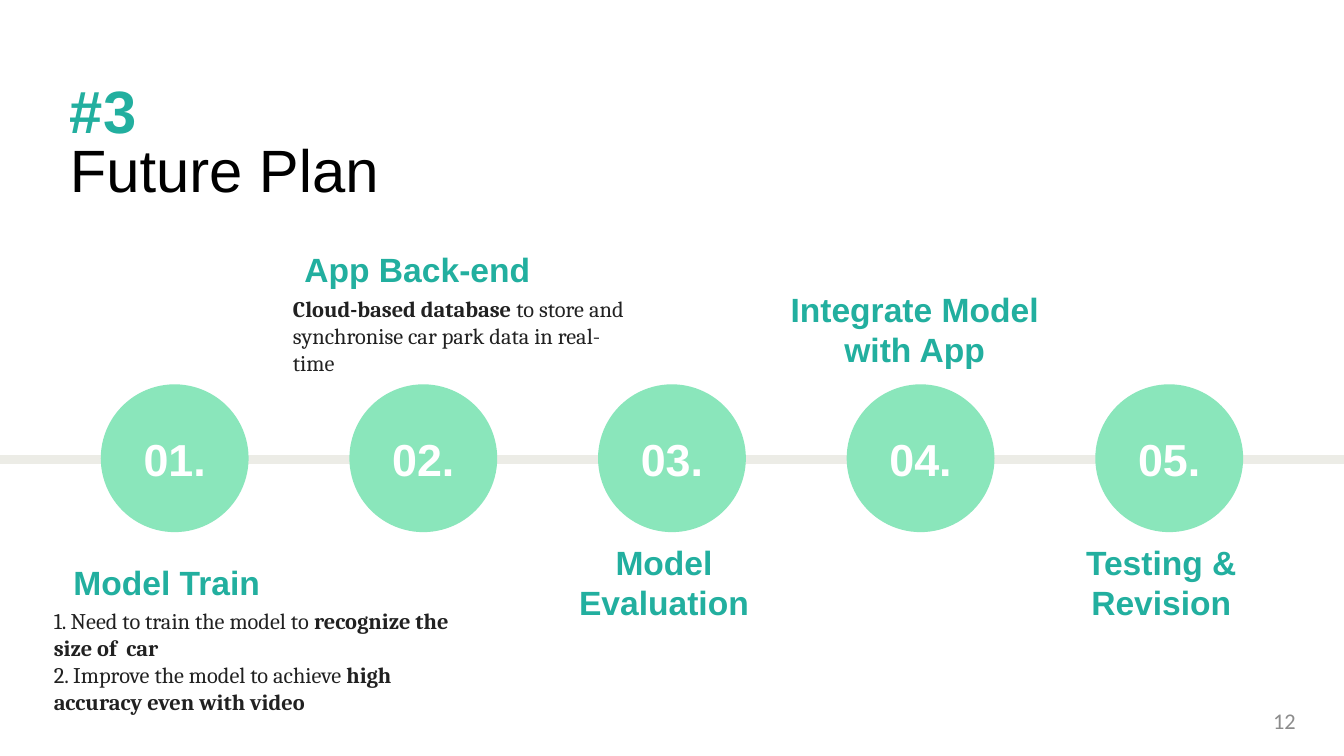
from dataclasses import dataclass

from lxml.etree import SubElement
from pptx import Presentation
from pptx.dml.color import RGBColor
from pptx.enum.shapes import MSO_CONNECTOR as Connector, MSO_SHAPE as Shape
from pptx.enum.text import MSO_ANCHOR as Anchor, MSO_AUTO_SIZE as AutoSize, PP_ALIGN as Align
from pptx.oxml.ns import qn
from pptx.util import Inches, Pt


@dataclass(frozen=True)
class Font:
    name: str
    size: int
    color: str


@dataclass(frozen=True)
class Theme:
    track: str = "ECECE6"
    circle: str = "8AE6BB"
    title: Font = Font("Arial", 32, "000000")
    section: Font = Font("Arial", 32, "22AF9F")
    heading: Font = Font("Arial", 18, "22AF9F")
    number: Font = Font("Arial", 24, "FFFFFF")
    detail: Font = Font("Cambria", 12, "212121")
    page_number: Font = Font("Calibri", 12, "8C8C8C")


THEME = Theme()
PAGE_WIDTH = 10
PAGE_HEIGHT = PAGE_WIDTH * 9 / 16
CIRCLE_SIZE, CIRCLE_STEP = 1.1, 1.85

# Heading, heading box, detail paragraphs as (text, bold) runs, detail box.
# Boxes are left, top, width, height, relative to the circle of the step.
BELOW = (-0.35, 1.3, 1.78, 0.29)
STEPS = [
    ("Model Train", BELOW,
     [[("1. Need to train the model to ", False), ("recognize the size of  car", True)],
      [("2. Improve the model to achieve ", False), ("high accuracy even with video", True)]],
     (-0.35, 1.61, 3.12, 0.91)),
    ("App Back-end", (-0.48, -1.03, 2.07, 0.29),
     [[("Cloud-based database", True),
       (" to store and synchronise car park data in real-time", False)]],
     (-0.42, -0.71, 2.65, 0.5)),
    ("Model Evaluation", BELOW, None, None),
    ("Integrate Model with App", (-0.5, -0.58, 2.11, 0.29), None, None),
    ("Testing & Revision", BELOW, None, None),
]


def color(code):
    return RGBColor.from_string(code)


def write(shape, paragraphs, font, align=Align.LEFT, anchor=Anchor.TOP,
          insets=(0, 0.05, 0.1, 0)):
    """Fill a shape with paragraphs, each a list of (text, bold) runs."""
    frame = shape.text_frame
    frame.word_wrap = True
    frame.auto_size = AutoSize.NONE
    frame.vertical_anchor = anchor
    (frame.margin_left, frame.margin_top,
     frame.margin_right, frame.margin_bottom) = map(Inches, insets)
    for index, runs in enumerate(paragraphs):
        para = frame.add_paragraph() if index else frame.paragraphs[0]
        para.alignment = align
        for text, bold in runs:
            run = para.add_run()
            run.text = text
            run.font.name = font.name
            run.font.size = Pt(font.size)
            run.font.bold = bold
            run.font.color.rgb = color(font.color)


def add_text(page, box, paragraphs, font, **options):
    write(page.shapes.add_textbox(*map(Inches, box)), paragraphs, font, **options)


def add_header(page, left, top):
    add_text(page, (left, top, 1.42, 0.49), [[("#3", True)]], THEME.section)
    title = page.shapes.title
    title.left, title.top = Inches(left), Inches(top + 0.49)
    title.width, title.height = Inches(7.29), Inches(0.58)
    write(title, [[("Future Plan", False)]], THEME.title, insets=(0, 0, 0, 0))


def add_track(page, left, right, height):
    track = page.shapes.add_connector(
        Connector.STRAIGHT, *map(Inches, (left, height, right, height)))
    track.line.color.rgb = color(THEME.track)
    track.line.width = Pt(4.5)
    SubElement(track._element.spPr, qn("a:effectLst"))


def add_step(page, left, top, number, step):
    heading, heading_box, details, detail_box = step

    def placed(box):
        return left + box[0], top + box[1], box[2], box[3]

    circle = page.shapes.add_shape(
        Shape.OVAL, *map(Inches, (left, top, CIRCLE_SIZE, CIRCLE_SIZE)))
    circle.shadow.inherit = False
    circle.fill.solid()
    circle.fill.fore_color.rgb = color(THEME.circle)
    circle.line.fill.background()
    write(circle, [[(f"{number:02d}.", True)]], THEME.number,
          align=Align.CENTER, anchor=Anchor.MIDDLE, insets=(0, 0.05, 0, 0.05))
    add_text(page, placed(heading_box), [[(heading, True)]], THEME.heading,
             align=Align.CENTER, anchor=Anchor.MIDDLE)
    if details:
        add_text(page, placed(detail_box), details, THEME.detail)


def add_timeline(page, left, top, page_width):
    add_track(page, 0, page_width, top + 0.56)
    for index, step in enumerate(STEPS):
        add_step(page, left + index * CIRCLE_STEP, top, index + 1, step)


def add_page_number(page, box):
    add_text(page, box, [[("12", False)]], THEME.page_number, align=Align.RIGHT,
             anchor=Anchor.MIDDLE, insets=(0.1, 0.05, 0.1, 0.05))


def main():
    deck = Presentation()
    deck.slide_width, deck.slide_height = Inches(PAGE_WIDTH), Inches(PAGE_HEIGHT)
    page = deck.slides.add_slide(deck.slide_layouts.get_by_name("Title Only"))
    add_header(page, 0.52, 0.5)
    add_timeline(page, 0.75, 2.86, PAGE_WIDTH)
    add_page_number(page, (7.49, 5.21, 2.25, 0.3))
    deck.save("out.pptx")


if __name__ == "__main__":
    main()
